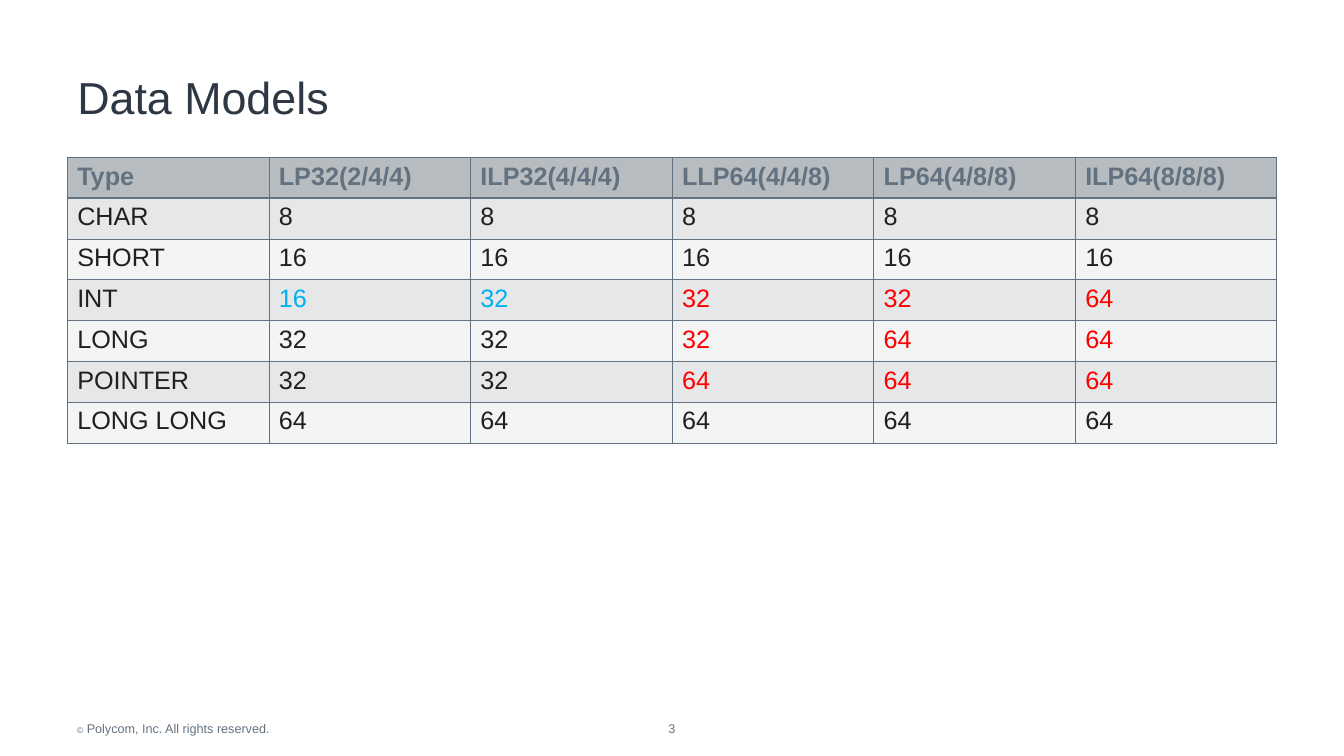
from dataclasses import dataclass

from lxml.etree import SubElement
from pptx import Presentation
from pptx.dml.color import RGBColor
from pptx.enum.text import MSO_ANCHOR, MSO_AUTO_SIZE, PP_ALIGN
from pptx.oxml.ns import qn
from pptx.util import Pt


@dataclass(frozen=True)
class Theme:
    font: str = "Arial"
    title: str = "2E3844"
    grey: str = "637280"
    ink: str = "231F20"
    blue: str = "00B0F0"
    red: str = "FF0000"
    head: str = "B7BCC0"
    bands: tuple = ("E6E7E8", "F3F4F4")
    big: float = 32
    body: float = 18
    small: float = 9
    tiny: float = 6
    thin: float = 0.45
    thick: float = 1.47


class Deck:
    """Holds the theme and the current slide."""

    def __init__(self, theme):
        self.theme = theme
        self.file = Presentation()
        self.file.slide_width, self.file.slide_height = Pt(960), Pt(540)
        self.slide = self.file.slides.add_slide(self.file.slide_layouts[5])

    def style(self, run, size, color, bold=False):
        font = run.font
        font.name, font.size, font.bold = self.theme.font, Pt(size), bold
        font.color.rgb = RGBColor.from_string(color)

    def title(self, text, left, top, width, height):
        shape = self.slide.shapes.title
        shape.left, shape.top = Pt(left), Pt(top)
        shape.width, shape.height = Pt(width), Pt(height)
        frame = shape.text_frame
        frame.text = text
        frame.auto_size = MSO_AUTO_SIZE.NONE
        frame.vertical_anchor = MSO_ANCHOR.BOTTOM
        line = frame.paragraphs[0]
        line.alignment, line.line_spacing = PP_ALIGN.LEFT, 0.9
        self.style(line.runs[0], self.theme.big, self.theme.title)

    def footer(self, parts, left, width, align=PP_ALIGN.LEFT):
        """Add a bottom line made of (text, size) parts."""
        box = self.slide.shapes.add_textbox(Pt(left), Pt(500.4), Pt(width), Pt(28.8))
        frame = box.text_frame
        frame.word_wrap = True
        frame.vertical_anchor = MSO_ANCHOR.BOTTOM
        line = frame.paragraphs[0]
        line.alignment = align
        for text, size in parts:
            run = line.add_run()
            run.text = text
            self.style(run, size, self.theme.grey)

    def edge(self, cell, side, width):
        """Draw one border of a cell; side is L, R, T or B."""
        props = cell._tc.get_or_add_tcPr()
        line = SubElement(props, qn(f"a:ln{side}"), w=str(int(Pt(width))))
        fill = SubElement(line, qn("a:solidFill"))
        SubElement(fill, qn("a:srgbClr"), val=self.theme.grey)

    def cell(self, cell, text, row, color):
        theme = self.theme
        heavy = {(0, "B"), (1, "T")}
        for side in "LRTB":
            self.edge(cell, side, theme.thick if (row, side) in heavy else theme.thin)
        cell.fill.solid()
        shade = theme.bands[(row - 1) % 2] if row else theme.head
        cell.fill.fore_color.rgb = RGBColor.from_string(shade)
        cell.text_frame.text = text
        self.style(cell.text_frame.paragraphs[0].runs[0], theme.body, color, row == 0)

    def table(self, rows, pick, left, top, width, height):
        """Add a table; pick(row, col) gives the text colour."""
        shape = self.slide.shapes.add_table(
            len(rows), len(rows[0]), Pt(left), Pt(top), Pt(width), Pt(height))
        grid = shape.table
        grid.horz_banding = False
        for r, texts in enumerate(rows):
            grid.rows[r].height = Pt(height / len(rows))
            for c, text in enumerate(texts):
                self.cell(grid.cell(r, c), text, r, pick(r, c))


MODELS = [
    ("Type", "LP32(2/4/4)", "ILP32(4/4/4)", "LLP64(4/4/8)", "LP64(4/8/8)", "ILP64(8/8/8)"),
    ("CHAR", "8", "8", "8", "8", "8"),
    ("SHORT", "16", "16", "16", "16", "16"),
    ("INT", "16", "32", "32", "32", "64"),
    ("LONG", "32", "32", "32", "64", "64"),
    ("POINTER", "32", "32", "64", "64", "64"),
    ("LONG LONG", "64", "64", "64", "64", "64"),
]


def main():
    theme = Theme()
    deck = Deck(theme)

    def pick(row, col):
        if row == 0:
            return theme.grey
        if MODELS[row][0] in ("INT", "LONG", "POINTER") and col >= 3:
            return theme.red
        if MODELS[row][0] == "INT" and col:
            return theme.blue
        return theme.ink

    deck.footer([("©", theme.tiny), (" Polycom, Inc. All rights reserved.", theme.small)], 48, 280)
    deck.footer([("3", theme.small)], 460, 40, PP_ALIGN.CENTER)
    deck.title("Data Models", 48, 41.8, 864, 50.4)
    deck.table(MODELS, pick, 48, 112.3, 864, 204)
    deck.file.save("out.pptx")


if __name__ == "__main__":
    main()
